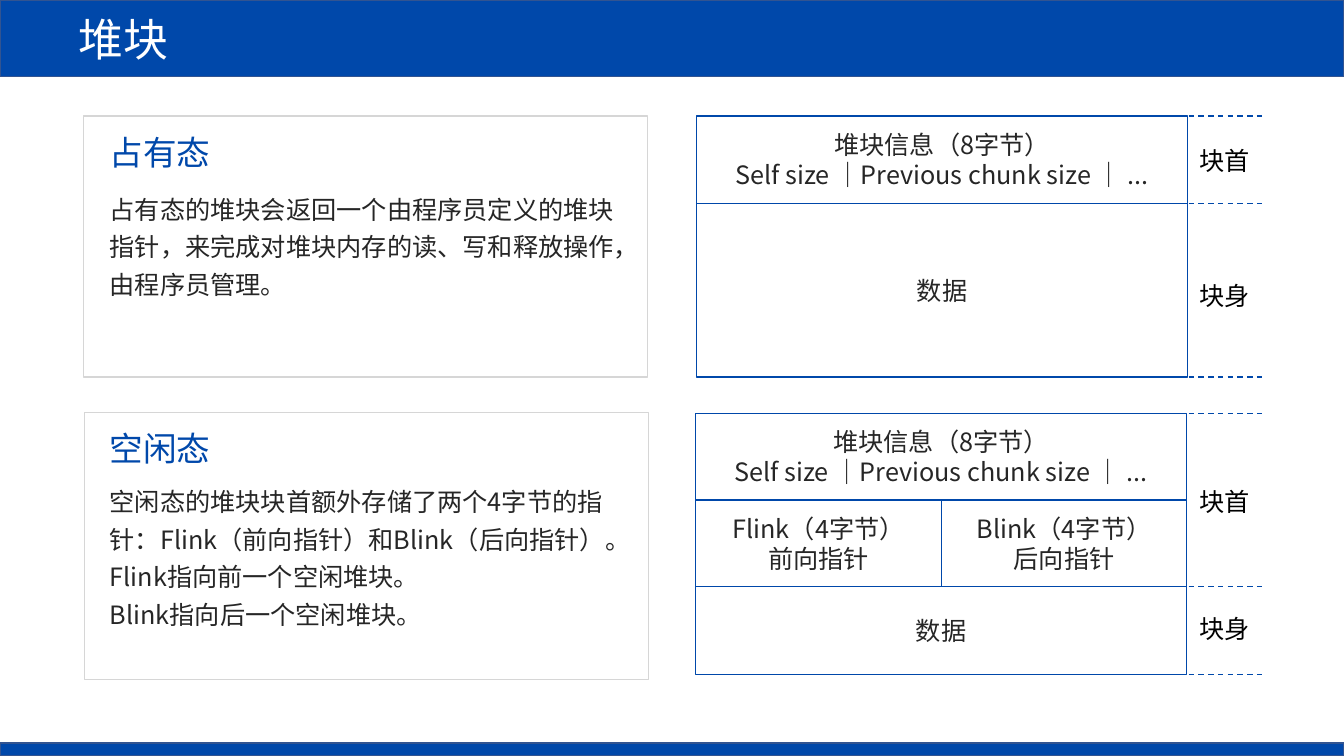
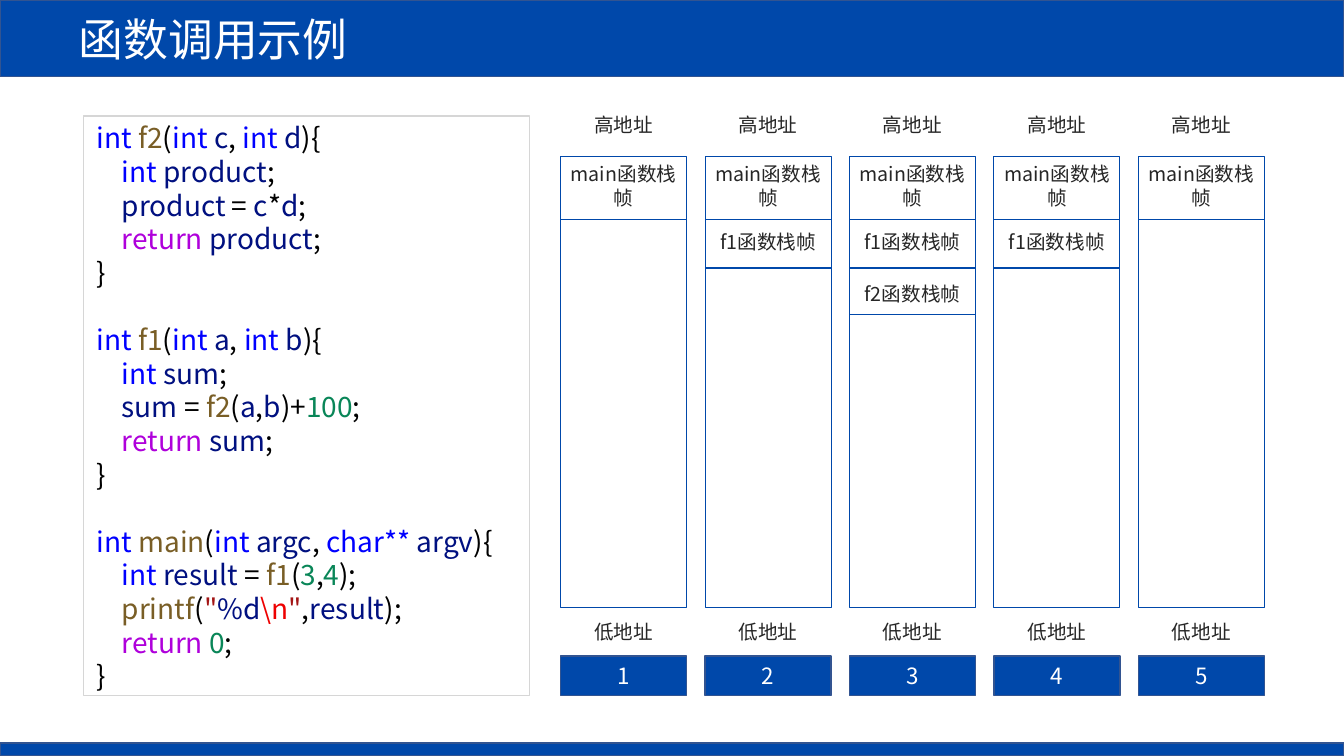
from dataclasses import dataclass
from typing import NamedTuple

from lxml import etree
from pptx import Presentation
from pptx.dml.color import RGBColor
from pptx.enum.dml import MSO_LINE
from pptx.enum.shapes import MSO_CONNECTOR, MSO_SHAPE
from pptx.enum.text import MSO_ANCHOR, PP_ALIGN
from pptx.oxml.ns import qn
from pptx.util import Inches, Pt

RECT = MSO_SHAPE.RECTANGLE
STRAIGHT = MSO_CONNECTOR.STRAIGHT
DASH = MSO_LINE.DASH
LEFT, CENTER = PP_ALIGN.LEFT, PP_ALIGN.CENTER
TOP, MIDDLE = MSO_ANCHOR.TOP, MSO_ANCHOR.MIDDLE

FONT = "Noto Sans CJK SC"
WIDTH, HEIGHT = 13.33, 7.5
BLUE, EDGE, GRAY = "0048AA", "325491", "D6D6D6"
INK, BLACK, WHITE = "262626", "000000", "FFFFFF"
LEADING = 1.2

# Syntax colours
KEY, FLOW, FUNC, VAR = "0000FF", "AF00DB", "795E26", "001080"
NUM, QUOTE, ESCAPE = "098658", "A31515", "EE0000"


class Run(NamedTuple):
    text: str
    color: str


class Box(NamedTuple):
    left: float
    top: float
    width: float
    height: float


@dataclass
class Style:
    size: float
    align: PP_ALIGN = LEFT
    anchor: MSO_ANCHOR = TOP
    spread: float = 1.0
    inset: float = 0.1


@dataclass
class Card:
    box: Box
    head: str
    start: float
    body: list[str]


@dataclass
class Cell:
    box: Box
    lines: list[str]


@dataclass
class Chunk:
    cells: list[Cell]
    edges: list[float]
    tags: dict[str, float]


@dataclass
class Frame:
    name: str
    top: float
    height: float
    floor: float


TITLE = Style(32, anchor=MIDDLE, inset=0.78)
HEAD = Style(24)
BODY = Style(18, spread=1.25)
LABEL = Style(18)
CELL = Style(18, CENTER, MIDDLE)
CODE_STYLE = Style(20)
STACK = Style(14, CENTER, MIDDLE)
BADGE = Style(16, CENTER, MIDDLE)

CARDS = [
    Card(Box(0.83, 1.15, 5.59, 2.59), "占有态", 1.8, [
        "占有态的堆块会返回一个由程序员定义的堆块指针，来完成对堆块内存的读、写和释放操作，由程序员管理。",
    ]),
    Card(Box(0.84, 4.09, 5.59, 2.65), "空闲态", 4.7, [
        "空闲态的堆块块首额外存储了两个4字节的指针：Flink（前向指针）和Blink（后向指针）。",
        "Flink指向前一个空闲堆块。",
        "Blink指向后一个空闲堆块。",
    ]),
]

INFO = ["堆块信息（8字节）", "Self size ｜Previous chunk size ｜ ..."]
CHUNKS = [
    Chunk(
        [Cell(Box(6.91, 1.15, 4.87, 0.87), INFO),
         Cell(Box(6.91, 2.02, 4.87, 1.72), ["数据"])],
        [1.15, 2.02, 3.74], {"块首": 1.39, "块身": 2.73}),
    Chunk(
        [Cell(Box(6.9, 4.1, 4.87, 0.86), INFO),
         Cell(Box(6.9, 5.82, 4.87, 0.87), ["数据"]),
         Cell(Box(6.9, 4.96, 2.44, 0.86), ["Flink（4字节）", "前向指针"]),
         Cell(Box(9.34, 4.96, 2.43, 0.86), ["Blink（4字节）", "后向指针"])],
        [4.1, 5.82, 6.69], {"块首": 4.78, "块身": 6.04}),
]

FRAMES = [
    Frame("main函数栈帧", 1.56, 0.57, 2.18),
    Frame("f1函数栈帧", 2.23, 0.34, 2.66),
    Frame("f2函数栈帧", 2.74, 0.34, 3.12),
]
DEPTHS = [1, 2, 3, 2, 1]
FIRST, LAST, COLUMN = 5.56, 11.29, 1.25


def mark(text: str) -> Run:
    return Run(text, BLACK)


def head(name: str, *params: tuple[str, str]) -> list[Run]:
    """Colour the opening line of a function."""
    runs = [Run("int ", KEY), Run(name, FUNC), mark("(")]
    for i, (kind, param) in enumerate(params):
        if i:
            runs.append(mark(", "))
        runs += [Run(kind, KEY), Run(param, VAR)]
    return runs + [mark("){")]


def declare(name: str) -> list[Run]:
    return [Run("    int ", KEY), Run(name, VAR), mark(";")]


def give(value: str, color: str) -> list[Run]:
    """Colour a return statement."""
    return [Run("    return ", FLOW), Run(value, color), mark(";")]


CODE = [
    [
        head("f2", ("int ", "c"), ("int ", "d")),
        declare("product"),
        [Run("    product", VAR), mark(" = "), Run("c", VAR), mark("*"),
         Run("d", VAR), mark(";")],
        give("product", VAR),
        [mark("}")],
    ],
    [
        head("f1", ("int ", "a"), ("int ", "b")),
        declare("sum"),
        [Run("    sum", VAR), mark(" = "), Run("f2", FUNC), mark("("),
         Run("a", VAR), mark(","), Run("b", VAR), mark(")+"),
         Run("100", NUM), mark(";")],
        give("sum", VAR),
        [mark("}")],
    ],
    [
        head("main", ("int ", "argc"), ("char** ", "argv")),
        [Run("    int ", KEY), Run("result", VAR), mark(" = "),
         Run("f1", FUNC), mark("("), Run("3", NUM), mark(","),
         Run("4", NUM), mark(");")],
        [Run("    printf", FUNC), mark("("), Run('"', QUOTE),
         Run("%d", VAR), Run("\\n", ESCAPE), Run('"', QUOTE), mark(","),
         Run("result", VAR), mark(");")],
        give("0", NUM),
        [mark("}")],
    ],
]


def rgb(color: str) -> RGBColor:
    return RGBColor.from_string(color)


def place(box: Box) -> list[int]:
    return [Inches(n) for n in box]


def plain(lines: list[str], color: str) -> list[list[Run]]:
    return [[Run(line, color)] for line in lines]


def write(shape, lines: list[list[Run]], style: Style,
          gaps: tuple[int, ...] = ()) -> None:
    """Fill a shape with text; gaps numbers the lines that follow an empty line."""
    frame = shape.text_frame
    frame.word_wrap = True
    frame.vertical_anchor = style.anchor
    frame.margin_left = Inches(style.inset)
    pitch = Pt(style.size * LEADING * style.spread)
    for i, line in enumerate(lines):
        para = frame.add_paragraph() if i else frame.paragraphs[0]
        para.alignment = style.align
        para.line_spacing = pitch
        if i in gaps:
            para.space_before = pitch
        for part in line:
            run = para.add_run()
            run.text = part.text
            font = run.font
            font.name, font.size = FONT, Pt(style.size)
            font.color.rgb = rgb(part.color)
            east = etree.SubElement(font._element, qn("a:ea"))
            east.set("typeface", FONT)


def rect(slide, box: Box, line: str, fill: str = "", weight: float = 1):
    shape = slide.shapes.add_shape(RECT, *place(box))
    shape.shadow.inherit = False
    if fill:
        shape.fill.solid()
        shape.fill.fore_color.rgb = rgb(fill)
    else:
        shape.fill.background()
    shape.line.color.rgb = rgb(line)
    shape.line.width = Pt(weight)
    return shape


def label(slide, box: Box, lines: list[str], style: Style,
          color: str = INK) -> None:
    write(slide.shapes.add_textbox(*place(box)), plain(lines, color), style)


def rule(slide, left: float, right: float, y: float, dash: bool = False) -> None:
    """Draw a level blue line."""
    line = slide.shapes.add_connector(
        STRAIGHT, Inches(left), Inches(y), Inches(right), Inches(y))
    line.line.color.rgb = rgb(BLUE)
    line.line.width = Pt(1)
    if dash:
        line.line.dash_style = DASH
    etree.SubElement(line._element.spPr, qn("a:effectLst"))


def start(deck, title: str):
    """Add a slide with its title band and foot band."""
    slide = deck.slides.add_slide(deck.slide_layouts[6])
    band = rect(slide, Box(0, 0, WIDTH, 0.76), EDGE, BLUE)
    write(band, plain([title], WHITE), TITLE)
    rect(slide, Box(0, 7.37, WIDTH, 0.13), EDGE, BLUE)
    return slide


def draw_card(slide, card: Card) -> None:
    rect(slide, card.box, GRAY)
    label(slide, Box(0.99, card.box.top + 0.11, 2, 0.5), [card.head], HEAD, BLUE)
    label(slide, Box(0.99, card.start, 5.28, 1.2), card.body, BODY)


def draw_chunk(slide, chunk: Chunk) -> None:
    for name, top in chunk.tags.items():
        label(slide, Box(11.8, top, 0.9, 0.4), [name], LABEL, BLACK)
    for y in chunk.edges:
        rule(slide, 11.79, 12.56, y, dash=True)
    for cell in chunk.cells:
        write(rect(slide, cell.box, BLUE), plain(cell.lines, INK), CELL)


def draw_stack(slide, left: float, number: int, depth: int) -> None:
    rect(slide, Box(left, 1.55, COLUMN, 4.48), BLUE, weight=0.75)
    for text, top in (("高地址", 1.07), ("低地址", 6.1)):
        label(slide, Box(left, top, COLUMN, 0.34), [text], STACK)
    for frame in FRAMES[:depth]:
        label(slide, Box(left, frame.top, COLUMN, frame.height),
              [frame.name], STACK)
        rule(slide, left, left + COLUMN, frame.floor)
    badge = rect(slide, Box(left, 6.51, COLUMN, 0.39), EDGE, BLUE)
    write(badge, plain([str(number)], WHITE), BADGE)


def draw_code(slide) -> None:
    rect(slide, Box(0.83, 1.15, 4.42, 5.75), GRAY)
    lines, gaps = [], []
    for block in CODE:
        if lines:
            gaps.append(len(lines))
        lines += block
    area = slide.shapes.add_textbox(*place(Box(0.86, 1.15, 4.34, 5.82)))
    write(area, lines, CODE_STYLE, tuple(gaps))


def main() -> None:
    deck = Presentation()
    deck.slide_width, deck.slide_height = Inches(WIDTH), Inches(HEIGHT)

    heap = start(deck, "堆块")
    for card in CARDS:
        draw_card(heap, card)
    for chunk in CHUNKS:
        draw_chunk(heap, chunk)

    calls = start(deck, "函数调用示例")
    draw_code(calls)
    step = (LAST - FIRST) / (len(DEPTHS) - 1)
    for i, depth in enumerate(DEPTHS):
        draw_stack(calls, FIRST + i * step, i + 1, depth)

    deck.save("out.pptx")


if __name__ == "__main__":
    main()
